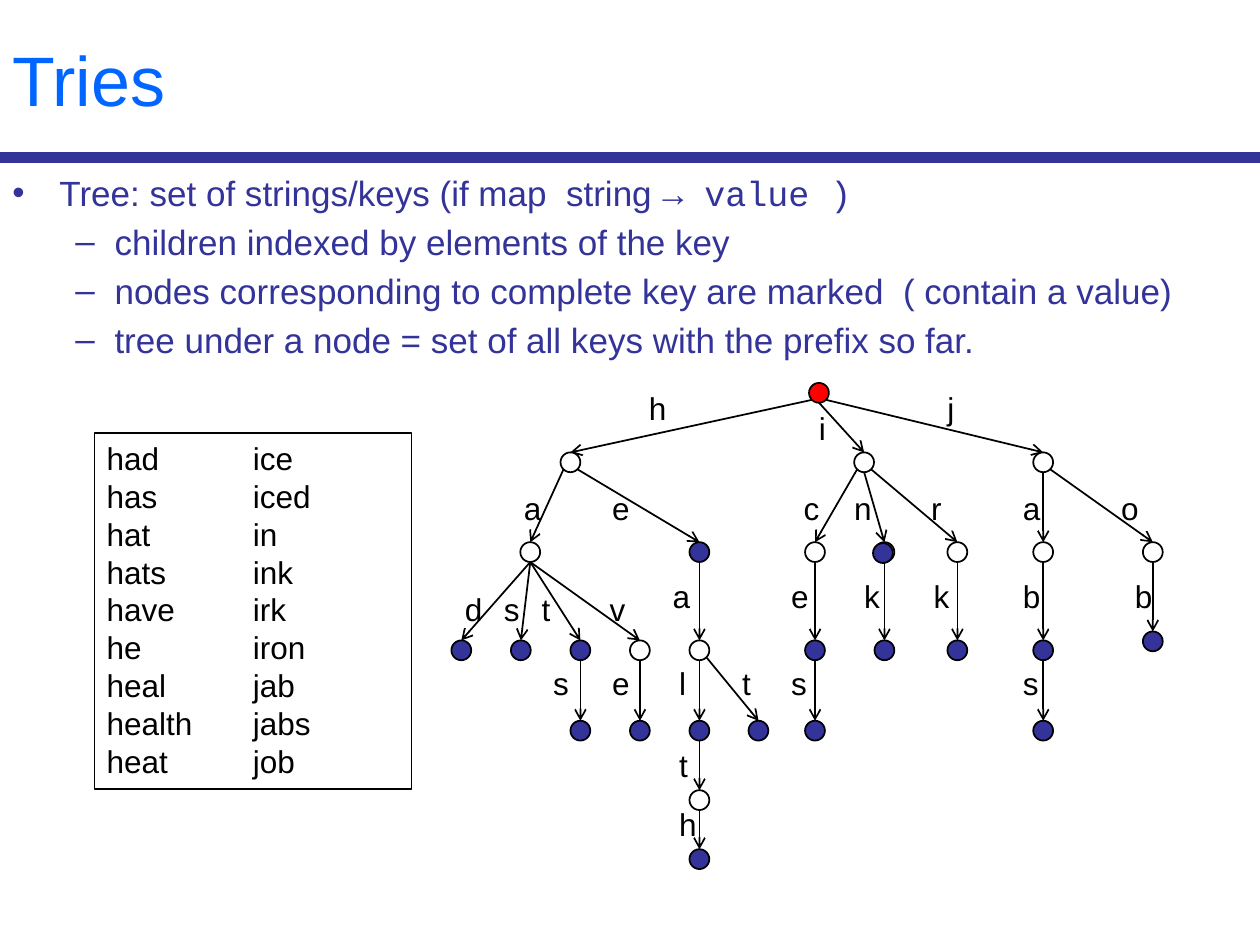
"""Build the slide on tries: bullets, a key list and a tree with labelled edges."""
from lxml import etree
from pptx import Presentation
from pptx import util as u
from pptx.dml.color import RGBColor
from pptx.enum import shapes, text
from pptx.oxml.ns import qn

BLUE, INK, WHITE, RED, TITLE = "333399", "000000", "FFFFFF", "FF0000", "0066FF"
BODY_FONT, CODE_FONT = "Arial", "Courier New"
RADIUS, DIAGONAL = 0.2, 0.14

BULLETS = [
    (0, [("Tree: set of strings/keys (if map  string ", BODY_FONT), ("→ value )", CODE_FONT)]),
    (1, [("children indexed by elements of the key", BODY_FONT)]),
    (1, [("nodes corresponding to complete key are marked  ( contain a value)", BODY_FONT)]),
    (1, [("tree under a node = set of all keys with the prefix so far.", BODY_FONT)]),
]
LEVELS = [("•", 0.95, -0.95), ("–", 2.06, -0.79)]
KEYS = ("had has hat hats have he heal health heat "
        "ice iced in ink irk iron jab jabs job").split()
MARKED = set(KEYS) - {"iron"}

ROOT = (16.51, 7.92)
ROWS = [7.92, 9.32, 11.13, 13.11, 14.73, 16.13, 17.32]
# prefix: (node x, side of the parent the edge leaves, label left, label top)
BRANCHES = {
    "h": (11.5, -1, 12.83, 7.72), "i": (17.42, 0, 16.26, 8.13),
    "j": (21.03, 1, 18.85, 7.72),
    "ha": (10.69, -1, 10.31, 9.73), "he": (14.1, 1, 12.09, 9.73),
    "ic": (16.43, -1, 15.95, 9.73), "in": (17.83, 0, 16.97, 9.73),
    "ir": (19.3, 1, 18.52, 9.73), "ja": (21.03, 0, 20.37, 9.73),
    "jo": (23.24, 1, 22.35, 9.73),
    "had": (9.3, 0, 9.12, 11.76), "has": (10.5, 0, 9.91, 11.76),
    "hat": (11.7, 0, 10.67, 11.76), "hav": (12.9, 0, 12.04, 11.76),
    "hea": (14.1, 0, 13.31, 11.51), "ice": (16.43, 0, 15.7, 11.51),
    "ink": (17.83, 0, 17.17, 11.51), "irk": (19.3, 0, 18.57, 11.51),
    "jab": (21.03, 0, 20.37, 11.51), "job": (23.24, 0, 22.63, 11.51),
    "hats": (11.7, 0, 10.9, 13.26), "have": (12.9, 0, 12.09, 13.26),
    "heal": (14.1, 0, 13.44, 13.26), "heat": (15.29, 1, 14.71, 13.26),
    "iced": (16.43, 0, 15.7, 13.26), "jabs": (21.03, 0, 20.37, 13.26),
    "healt": (14.1, 0, 13.44, 14.91), "health": (14.1, 0, 13.44, 16.1),
}
EDGE_LETTERS = {"iced": "s"}
ROW_SHIFTS = {"job": -0.18}
IN_MARK = (17.8, 11.15)


def color(value):
    return RGBColor.from_string(value)


def style(paragraph, size, tint, font=BODY_FONT, pitch=None):
    paragraph.font.size, paragraph.font.color.rgb = u.Pt(size), color(tint)
    paragraph.font.name = font
    paragraph.alignment = text.PP_ALIGN.LEFT
    if pitch:
        paragraph.line_spacing = u.Pt(pitch)


def add_text(left, top, width, height, wrap=True):
    frame = slide.shapes.add_textbox(*map(u.Cm, (left, top, width, height))).text_frame
    frame.word_wrap = wrap
    return frame


def add_line(start, end, tint, weight, arrow=False):
    line = slide.shapes.add_connector(shapes.MSO_CONNECTOR.STRAIGHT, *map(u.Cm, start + end))
    line.line.color.rgb, line.line.width = color(tint), u.Pt(weight)
    if arrow:
        etree.SubElement(line.line._get_or_add_ln(), qn("a:tailEnd"), type="arrow")
    etree.SubElement(line._element.spPr, qn("a:effectLst"))


def add_node(center, tint):
    x, y = center
    node = slide.shapes.add_shape(shapes.MSO_SHAPE.OVAL, u.Cm(x - RADIUS), u.Cm(y - RADIUS),
                                  u.Cm(2 * RADIUS), u.Cm(2 * RADIUS))
    node.shadow.inherit = False
    node.fill.solid()
    node.fill.fore_color.rgb = color(tint)
    node.line.color.rgb, node.line.width = color(INK), u.Pt(1)


def add_bullets():
    frame = add_text(0, 3.33, 25.4, 15.72)
    for index, (level, parts) in enumerate(BULLETS):
        item = frame.add_paragraph() if index else frame.paragraphs[0]
        style(item, 20, BLUE, parts[0][1], 24)
        item.space_before = u.Pt(4)
        for words, font in parts:
            run = item.add_run()
            run.text = words
            if font != parts[0][1]:
                run.font.name = font
        mark, margin, indent = LEVELS[level]
        props = item._p.get_or_add_pPr()
        props.set("marL", str(u.Cm(margin)))
        props.set("indent", str(u.Cm(indent)))
        etree.SubElement(props, qn("a:buFont"), typeface=BODY_FONT)
        etree.SubElement(props, qn("a:buChar"), char=mark)


def add_keys():
    box = slide.shapes.add_shape(shapes.MSO_SHAPE.RECTANGLE,
                                 *map(u.Cm, (1.9, 8.73, 6.4, 7.18)))
    box.shadow.inherit = False
    box.fill.background()
    box.line.color.rgb, box.line.width = color(INK), u.Pt(0.75)
    frame = box.text_frame
    frame.vertical_anchor = text.MSO_ANCHOR.TOP
    frame._txBody.bodyPr.set("numCol", "2")
    frame.text = "\n".join(KEYS)
    for key in frame.paragraphs:
        style(key, 18, INK, pitch=21.6)


def add_tree():
    centers = {"": ROOT}
    for prefix, (x, *_) in BRANCHES.items():
        centers[prefix] = (x, ROWS[len(prefix)] + ROW_SHIFTS.get(prefix, 0))
    for prefix, (x, side, left, top) in BRANCHES.items():
        parent_x, parent_y = centers[prefix[:-1]]
        drop = DIAGONAL if side else RADIUS
        add_line((parent_x + side * DIAGONAL, parent_y + drop),
                 (x, centers[prefix][1] - RADIUS), INK, 1, arrow=True)
        label = add_text(left, top, 0.86, 1.02, wrap=False)
        label.text = EDGE_LETTERS.get(prefix, prefix[-1])
        style(label.paragraphs[0], 18, INK, pitch=21.6)
    filled = MARKED - {"in"} | {"ice"}
    for prefix, center in centers.items():
        add_node(center, BLUE if prefix in filled else WHITE if prefix else RED)
    add_node(IN_MARK, BLUE)


deck = Presentation()
deck.slide_width, deck.slide_height = u.Cm(25.4), u.Cm(19.05)
slide = deck.slides.add_slide(deck.slide_layouts[6])

add_line((0, 3.17), (25.4, 3.17), BLUE, 6)
heading = add_text(0, 0, 25.4, 3.17)
heading.vertical_anchor = text.MSO_ANCHOR.MIDDLE
heading.text = "Tries"
style(heading.paragraphs[0], 40, TITLE)
add_bullets()
add_keys()
add_tree()
deck.save("out.pptx")
